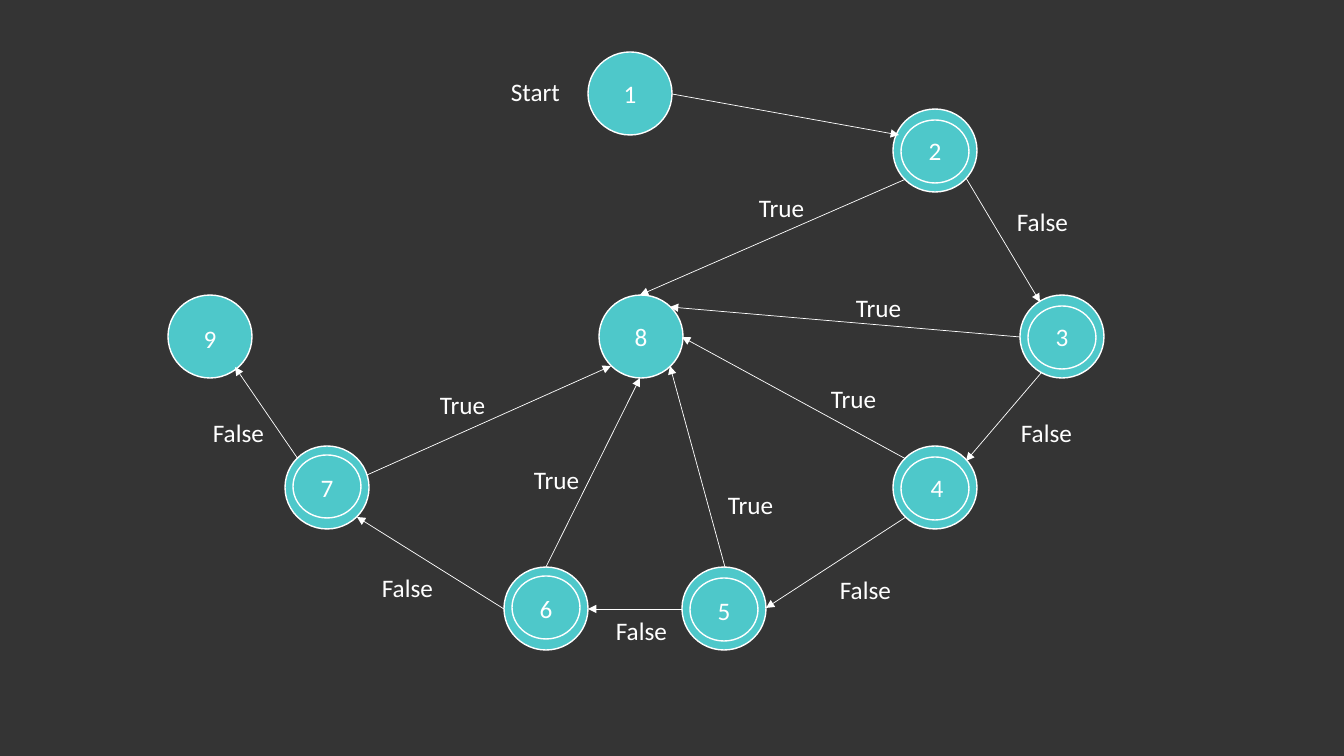
"""Build a slide with a nine-state diagram and its True and False branches."""
import pptx
import pptx.util
import pptx.dml.color
import pptx.enum.shapes
import pptx.enum.text
import pptx.oxml
import pptx.oxml.ns

SCALE = 12192000 / 1344
WHITE = "FFFFFF"
TEAL = "4EC8CA"


def paint(target, color):
    target.solid()
    target.fore_color.rgb = pptx.dml.color.RGBColor.from_string(color)


def write(text, left, top, width, align):
    box = slide.shapes.add_textbox(*[round(n * SCALE) for n in (left, top, width, 41)])
    frame = box.text_frame
    frame.word_wrap = True
    frame.auto_size = pptx.enum.text.MSO_AUTO_SIZE.SHAPE_TO_FIT_TEXT
    para = frame.paragraphs[0]
    para.alignment = align
    run = para.add_run()
    run.text = text
    run.font.name = "Calibri"
    run.font.size = pptx.util.Pt(18)
    paint(run.font.fill, WHITE)


deck = pptx.Presentation()
deck.slide_width = round(1344 * SCALE)
deck.slide_height = round(756 * SCALE)
slide = deck.slides.add_slide(deck.slide_layouts[6])
paint(slide.background.fill, "343434")

# state, left, top, digit dx, digit dy, ring dy
states = [
    ("1", 588, 52, 22, 21, None),
    ("2", 893, 109, 22, 21, 11),
    ("3", 1020, 295, 22, 21, 11),
    ("4", 893, 446, 24, 21, 11),
    ("5", 682, 567, 22, 23, 11),
    ("6", 504, 567, 22, 21, 9),
    ("7", 285, 446, 22, 21, 9),
    ("8", 599, 295, 22, 21, None),
    ("9", 168, 295, 22, 23, None),
]
for state, left, top, dx, dy, inset in states:
    discs = [(left, top, 84, 83, TEAL)]
    if inset:
        discs.append((left + 8, top + inset, 68, 63, None))
    for *frame, color in discs:
        disc = slide.shapes.add_shape(
            pptx.enum.shapes.MSO_SHAPE.FLOWCHART_CONNECTOR,
            *[round(n * SCALE) for n in frame])
        disc.shadow.inherit = False
        if color:
            paint(disc.fill, color)
        else:
            disc.fill.background()
        paint(disc.line.fill, WHITE)
        disc.line.width = pptx.util.Pt(1)
    write(state, left + dx, top + dy, 40, pptx.enum.text.PP_ALIGN.CENTER)

arrows = [
    (672, 94, 899, 135, "Start", 501, 71),
    (966, 178, 1040, 302, "False", 1007, 201),
    (1042, 372, 966, 461, "False", 1011, 412),
    (906, 517, 766, 608, "False", 830, 569),
    (682, 609, 588, 609, "False", 606, 610),
    (504, 609, 357, 517, "False", 372, 567),
    (298, 459, 235, 367, "False", 203, 412),
    (906, 179, 640, 295, "True", 749, 187),
    (1020, 337, 670, 307, "True", 846, 287),
    (906, 459, 682, 337, "True", 821, 378),
    (725, 567, 670, 366, "True", 718, 484),
    (546, 567, 640, 378, "True", 524, 459),
    (367, 475, 611, 366, "True", 430, 384),
]
for *ends, label, left, top in arrows:
    arrow = slide.shapes.add_connector(
        pptx.enum.shapes.MSO_CONNECTOR.STRAIGHT, *[round(n * SCALE) for n in ends])
    paint(arrow.line.fill, WHITE)
    arrow.line.width = pptx.util.Pt(0.5)
    tip = pptx.oxml.parse_xml(
        f'<a:tailEnd {pptx.oxml.ns.nsdecls("a")} type="triangle"/>')
    arrow.line.fill._xPr.append(tip)
    flat = pptx.oxml.parse_xml(f'<a:effectLst {pptx.oxml.ns.nsdecls("a")}/>')
    arrow._element.spPr.append(flat)
    write(label, left, top, 127, pptx.enum.text.PP_ALIGN.LEFT)

deck.save("out.pptx")
